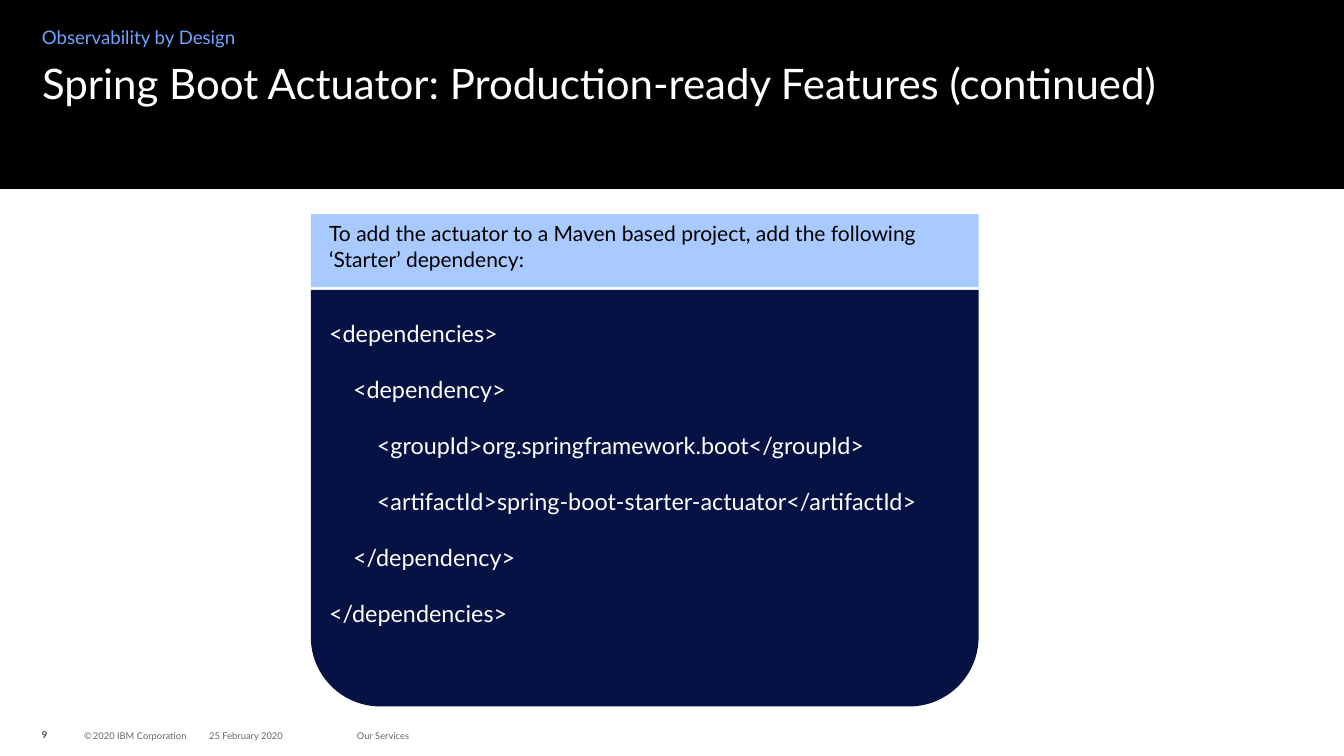
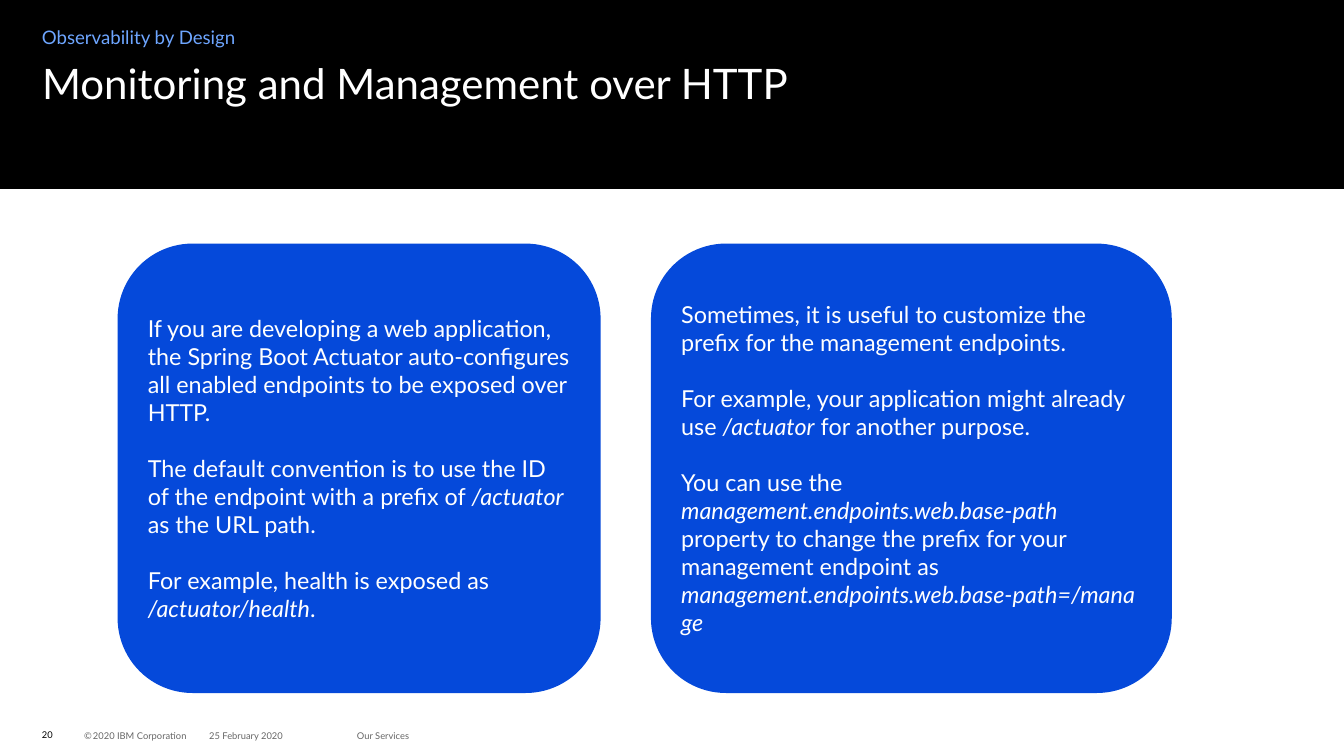
import pptx
import pptx.util
import pptx.dml.color
import pptx.enum.shapes
import pptx.enum.text

Inches = pptx.util.Inches
Pt = pptx.util.Pt
MSO_SHAPE = pptx.enum.shapes.MSO_SHAPE
MSO_ANCHOR = pptx.enum.text.MSO_ANCHOR
PP_ALIGN = pptx.enum.text.PP_ALIGN


def color(value):
    return pptx.dml.color.RGBColor.from_string(value)


class Deck:
    FONT = "Lato"
    BLACK, WHITE, GREY = "000000", "FFFFFF", "666666"
    NAVY, BLUE, PALE, SKY = "051243", "0549DA", "A8CAFF", "6EA6FF"

    def __init__(self):
        self.prs = pptx.Presentation()
        self.prs.slide_width = Inches(16)
        self.prs.slide_height = Inches(9)
        self.s = None

    def fill_text(self, sp, paragraphs, size, fill, anchor=MSO_ANCHOR.TOP, inset=None,
                  gap=0, spacing=None, mark_size=None):
        tf = sp.text_frame
        tf.word_wrap = True
        tf.auto_size = pptx.enum.text.MSO_AUTO_SIZE.NONE
        tf.vertical_anchor = anchor
        if inset is not None:
            tf.margin_left = tf.margin_right = Inches(inset)
            tf.margin_top = tf.margin_bottom = Inches(inset)
        for i, line in enumerate(paragraphs):
            p = tf.add_paragraph() if i else tf.paragraphs[0]
            p.alignment = PP_ALIGN.LEFT
            p.space_before = Pt(gap if i else 0)
            if spacing:
                p.line_spacing = spacing
            p.font.name = self.FONT
            p.font.size = Pt(size)
            p.font.color.rgb = color(fill)
            for j, part in enumerate(line.split("*")):
                if part:
                    r = p.add_run()
                    r.text = part
                    if j % 2 and mark_size:
                        r.font.size = Pt(mark_size)
                    elif j % 2:
                        r.font.italic = True

    def text(self, x, y, w, h, paragraphs, size, fill, **style):
        sp = self.s.shapes.add_textbox(Inches(x), Inches(y), Inches(w), Inches(h))
        self.fill_text(sp, paragraphs, size, fill, **style)

    def shape(self, kind, x, y, w, h, fill):
        sp = self.s.shapes.add_shape(kind, Inches(x), Inches(y), Inches(w), Inches(h))
        sp.shadow.inherit = False
        sp.fill.solid()
        sp.fill.fore_color.rgb = color(fill)
        sp.line.fill.background()
        return sp

    def card(self, x, w, paragraphs):
        sp = self.shape(MSO_SHAPE.ROUNDED_RECTANGLE, x, 2.9, w, 5.35, self.BLUE)
        self.fill_text(sp, paragraphs, 20, self.WHITE, anchor=MSO_ANCHOR.MIDDLE, gap=24)

    def footer(self, x, y, w, line, fill, **style):
        self.text(x, y, w, 0.24, [line], 8, fill, anchor=MSO_ANCHOR.MIDDLE, inset=0, **style)

    def slide(self, number, title):
        self.s = self.prs.slides.add_slide(self.prs.slide_layouts[5])
        band = self.shape(MSO_SHAPE.RECTANGLE, 0, 0, 16, 2.25, self.BLACK)
        sp = self.s.shapes.title
        sp.element.addprevious(band.element)
        sp.left, sp.top, sp.width, sp.height = map(Inches, (0.5, 0.75, 15, 1.25))
        self.fill_text(sp, [title], 36, self.WHITE, inset=0, spacing=0.9)
        self.text(0.5, 0.29, 7.2, 0.3, ["Observability by Design"], 16, self.SKY,
                  inset=0, spacing=1.05)
        self.footer(0.5, 8.63, 0.36, str(number), self.BLACK)
        self.footer(1, 8.64, 1.45, "©* *2020 IBM Corporation", self.GREY, mark_size=4)
        self.footer(2.49, 8.64, 1.5, "25 February 2020", self.GREY)
        self.footer(4.25, 8.64, 2.5, "Our Services", self.GREY)


def main():
    deck = Deck()

    deck.slide(9, "Spring Boot Actuator: Production-ready Features (continued)")
    panel = deck.shape(MSO_SHAPE.ROUND_2_SAME_RECTANGLE, 3.7, 3.45, 7.95, 4.96, deck.NAVY)
    panel.rotation = 180
    deck.shape(MSO_SHAPE.RECTANGLE, 3.7, 2.55, 7.95, 0.87, deck.PALE)
    deck.text(3.82, 3.75, 7.83, 4.5, [
        "<dependencies>",
        "    <dependency>",
        "        <groupId>org.springframework.boot</groupId>",
        "        <artifactId>spring-boot-starter-actuator</artifactId>",
        "    </dependency>",
        "</dependencies>",
    ], 20, deck.WHITE, gap=24)
    deck.text(3.82, 2.58, 7.78, 0.87, [
        "To add the actuator to a Maven based project, add the following ‘Starter’ dependency:",
    ], 18, deck.BLACK)

    deck.slide(20, "Monitoring and Management over HTTP")
    deck.card(1.4, 5.75, [
        "If you are developing a web application, the Spring Boot Actuator auto-configures "
        "all enabled endpoints to be exposed over HTTP.",
        "The default convention is to use the ID of the endpoint with a prefix of "
        "*/actuator* as the URL path.",
        "For example, health is exposed as */actuator/health*.",
    ])
    deck.card(7.75, 6.2, [
        "Sometimes, it is useful to customize the prefix for the management endpoints.",
        "For example, your application might already use */actuator* for another purpose.",
        "You can use the *management.endpoints.web.base-path* property to change the prefix "
        "for your management endpoint as *management.endpoints.web.base-path=/manage*",
    ])

    deck.prs.save("out.pptx")


if __name__ == "__main__":
    main()
